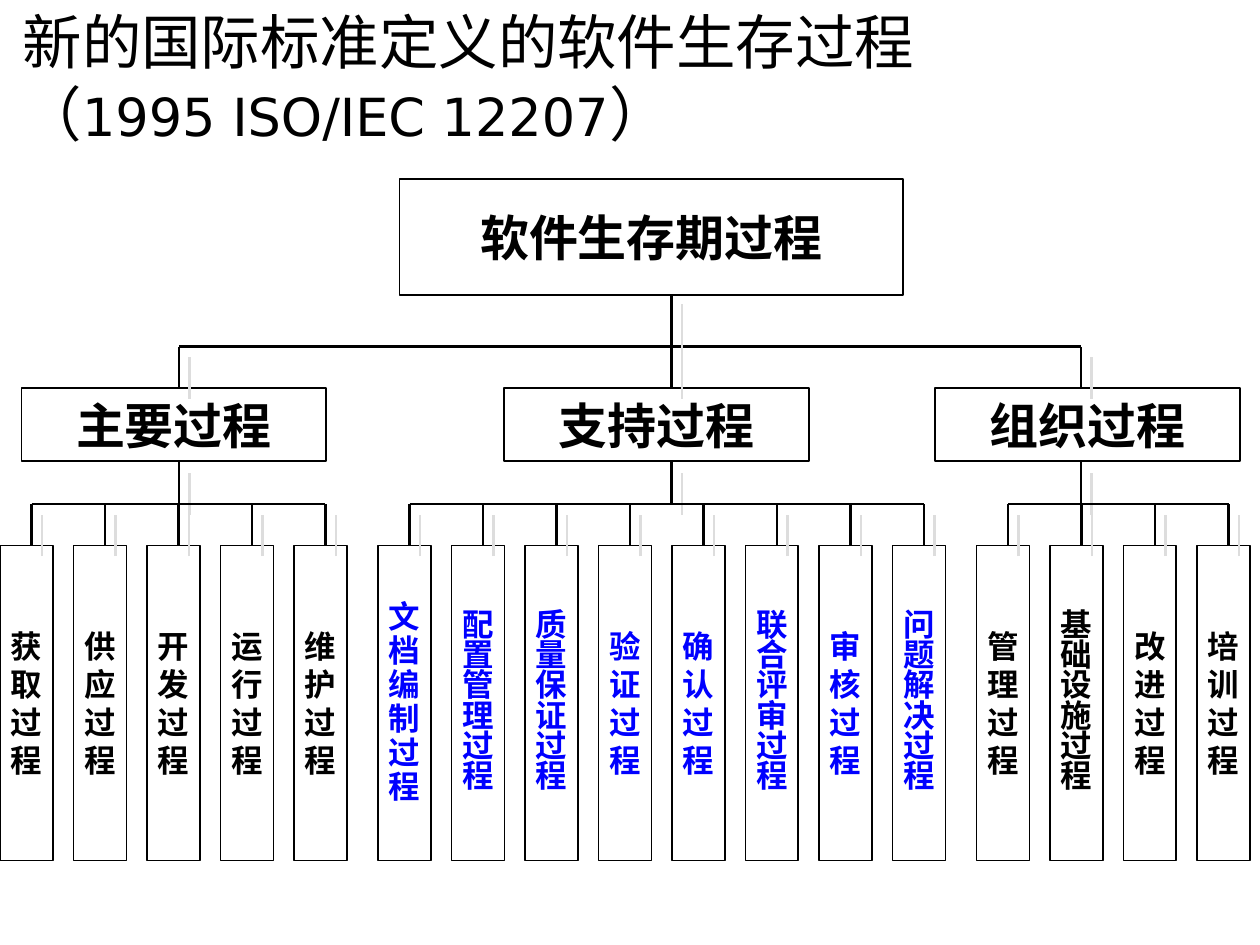
from lxml import etree
from pptx import Presentation
from pptx.dml.color import RGBColor
from pptx.enum.shapes import MSO_CONNECTOR, MSO_SHAPE
from pptx.enum.text import MSO_ANCHOR, MSO_AUTO_SIZE, PP_ALIGN
from pptx.oxml import parse_xml
from pptx.oxml.ns import nsdecls, qn
from pptx.util import Inches, Pt

RECTANGLE = MSO_SHAPE.RECTANGLE
STRAIGHT = MSO_CONNECTOR.STRAIGHT
MIDDLE = MSO_ANCHOR.MIDDLE
CENTER, LEFT = PP_ALIGN.CENTER, PP_ALIGN.LEFT
BLACK, BLUE, SHADOW_GRAY = "000000", "0000FF", "DDDDDD"
CJK_FONT = "Noto Sans CJK SC"

TITLE_RUNS = [
    ("新的国际标准定义的软件生存过程", 34, CJK_FONT),
    ("（", 34, CJK_FONT),
    ("1995 ISO/IEC 12207", 30, "DejaVu Sans"),
    ("）", 34, CJK_FONT),
]
ROOT = "软件生存期过程"
# name, center of the box, left edge of its first process, text colour, processes
GROUPS = [
    ("主要过程", 1.42, 0, BLACK,
     ["获取过程", "供应过程", "开发过程", "运行过程", "维护过程"]),
    ("支持过程", 5.33, 3, BLUE,
     ["文档编制过程", "配置管理过程", "质量保证过程", "验证过程",
      "确认过程", "联合评审过程", "审核过程", "问题解决过程"]),
    ("组织过程", 8.58, 7.75, BLACK,
     ["管理过程", "基础设施过程", "改进过程", "培训过程"]),
]
LINE_SPACING = {"文档编制过程": 0.9}
LONG_NAME_SPACING = 0.8

ROOT_BOX = (3.17, 1.42, 4, 0.92)
TRUNK_X, ROOT_BOTTOM, TOP_BAR = 5.33, 2.33, 2.75
GROUP_LEFTS = [0.17, 4, 7.42]
GROUP_TOP, GROUP_WIDTH, GROUP_HEIGHT, GROUP_BOTTOM = 3.08, 2.42, 0.58, 3.67
LEAF_BAR, LEAF_TOP, LEAF_WIDTH, LEAF_HEIGHT = 4, 4.33, 0.42, 2.5
LEAF_PITCH = 7 / 12
DROP_OFFSET = 0.25


def color(hex_value):
    return RGBColor.from_string(hex_value)


def format_run(run, size, font_name, hex_color, bold=False):
    run.font.size = Pt(size)
    run.font.name = font_name
    run.font.bold = bold
    run.font.color.rgb = color(hex_color)


def add_title(slide):
    title = slide.shapes.title
    title.left, title.top = Inches(0.08), Inches(0.06)
    title.width, title.height = Inches(9.92), Inches(1.1)
    frame = title.text_frame
    frame.vertical_anchor = MIDDLE
    frame.auto_size = MSO_AUTO_SIZE.NONE
    paragraph = frame.paragraphs[0]
    paragraph.alignment = LEFT
    for index, (text, size, font_name) in enumerate(TITLE_RUNS):
        if index == 1:
            paragraph.add_line_break()
        run = paragraph.add_run()
        run.text = text
        format_run(run, size, font_name, BLACK)
        east_asian = etree.SubElement(run.font._element, qn("a:ea"))
        east_asian.set("typeface", CJK_FONT)


def add_box(slide, box, lines, size, hex_color=BLACK, spacing=None):
    shape = slide.shapes.add_shape(RECTANGLE, *(Inches(value) for value in box))
    shape.shadow.inherit = False
    shape.fill.background()
    shape.line.color.rgb = color(BLACK)
    shape.line.width = Pt(1)
    frame = shape.text_frame
    frame.word_wrap = False
    frame.vertical_anchor = MIDDLE
    frame.text = "\n".join(lines)
    for paragraph in frame.paragraphs:
        paragraph.alignment = CENTER
        paragraph.line_spacing = spacing
        format_run(paragraph.runs[0], size, "Arial", hex_color, bold=True)


def add_line(slide, x1, y1, x2, y2, shadow=False):
    line = slide.shapes.add_connector(
        STRAIGHT, Inches(x1), Inches(y1), Inches(x2), Inches(y2))
    line.line.color.rgb = color(BLACK)
    line.line.width = Pt(1.5)
    effect = ""
    if shadow:
        effect = (f'<a:outerShdw blurRad="0" dist="{Pt(8.5)}" dir="2700000">'
                  f'<a:srgbClr val="{SHADOW_GRAY}"/></a:outerShdw>')
    line._element.spPr.append(parse_xml(
        f'<a:effectLst {nsdecls("a")}>{effect}</a:effectLst>'))


def add_upper_levels(slide):
    centers = [group[1] for group in GROUPS]
    add_line(slide, centers[0], TOP_BAR, centers[-1], TOP_BAR)
    add_box(slide, ROOT_BOX, [ROOT], 28)
    for left, group in zip(GROUP_LEFTS, GROUPS):
        add_box(slide, (left, GROUP_TOP, GROUP_WIDTH, GROUP_HEIGHT), [group[0]], 28)
    for center in centers:
        top = ROOT_BOTTOM if center == TRUNK_X else TOP_BAR
        add_line(slide, center, GROUP_TOP, center, top, shadow=True)


def add_processes(slide, center, first_left, hex_color, processes):
    lefts = [first_left + index * LEAF_PITCH for index in range(len(processes))]
    drops = [left + DROP_OFFSET for left in lefts]
    add_line(slide, center, LEAF_BAR, center, GROUP_BOTTOM, shadow=True)
    add_line(slide, drops[0], LEAF_BAR, drops[-1], LEAF_BAR)
    for left, name in zip(lefts, processes):
        default = LONG_NAME_SPACING if len(name) > 4 else None
        add_box(slide, (left, LEAF_TOP, LEAF_WIDTH, LEAF_HEIGHT), list(name), 18,
                hex_color, LINE_SPACING.get(name, default))
    for drop in drops:
        add_line(slide, drop, LEAF_TOP, drop, LEAF_BAR, shadow=True)


def main():
    presentation = Presentation()
    presentation.slide_width, presentation.slide_height = Inches(10), Inches(7.5)
    slide = presentation.slides.add_slide(presentation.slide_layouts[5])
    add_title(slide)
    add_upper_levels(slide)
    for _, center, first_left, hex_color, processes in GROUPS:
        add_processes(slide, center, first_left, hex_color, processes)
    presentation.save("out.pptx")


if __name__ == "__main__":
    main()
